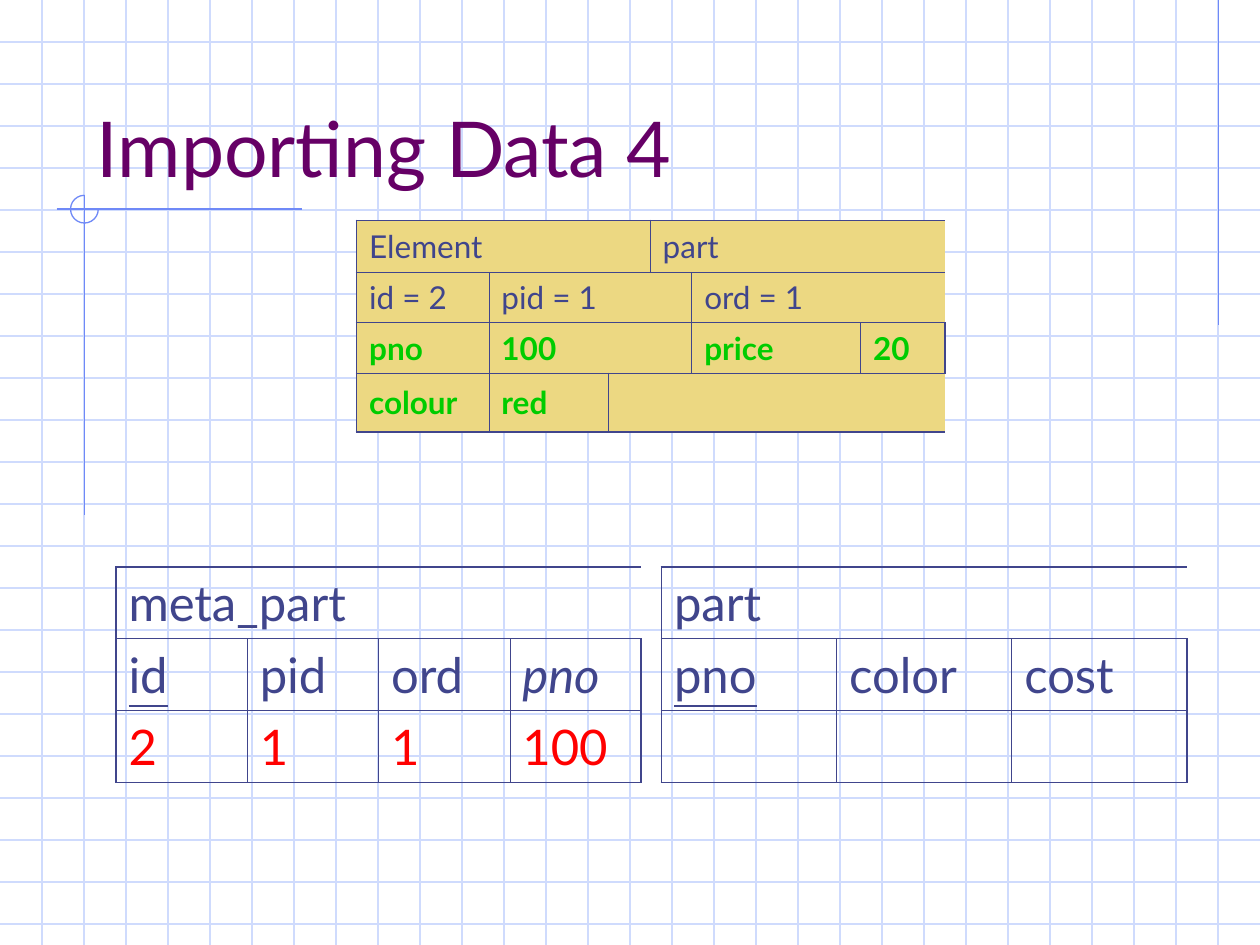
from dataclasses import dataclass

import pptx
import pptx.dml.color
import pptx.enum.shapes
import pptx.enum.text
import pptx.oxml
import pptx.oxml.ns
import pptx.util
from pptx.util import Inches

NO_GRID_STYLE = "{2D5ABB26-0587-4C30-8999-92F81FD0307C}"


@dataclass(frozen=True)
class Theme:
    font: str = "Lato"
    grid: str = "CFDBFD"
    accent: str = "6F89F7"
    title: str = "660066"
    ink: str = "40458C"
    value: str = "FF0000"
    attribute: str = "00CC00"
    element_fill: str = "ECD882"
    title_size: int = 44
    element_size: int = 18
    relation_size: int = 28
    hairline: float = 0.75
    inner_border: float = 0.45
    outer_border: float = 1.08


THEME = Theme()


def rgb(color):
    return pptx.dml.color.RGBColor.from_string(color)


def write_text(frame, text, size, color=THEME.ink, bold=False, italic=False, underline=False):
    paragraph = frame.paragraphs[0]
    font = paragraph.font
    if text:
        run = paragraph.add_run()
        run.text = text
        font = run.font
    font.name, font.size = THEME.font, pptx.util.Pt(size)
    font.bold, font.italic, font.underline = bold, italic, underline
    font.color.rgb = rgb(color)


def draw_line(slide, start, end, color):
    line = slide.shapes.add_connector(
        pptx.enum.shapes.MSO_CONNECTOR.STRAIGHT,
        *(Inches(length) for length in (*start, *end)))
    line.line.color.rgb = rgb(color)
    line.line.width = pptx.util.Pt(THEME.hairline)
    line._element.spPr.append(pptx.oxml.parse_xml(
        f"<a:effectLst {pptx.oxml.ns.nsdecls('a')}/>"))


def draw_graph_paper(slide, left, top, width, height, per_inch=3):
    right, bottom = left + width, top + height
    for step in range(1, int(height * per_inch) + 1):
        y = top + step / per_inch
        draw_line(slide, (left, y), (right, y), THEME.grid)
    for step in range(1, int(width * per_inch)):
        x = left + step / per_inch
        draw_line(slide, (x, top), (x, bottom), THEME.grid)


def draw_corner_mark(slide, left, top, width, height):
    """Draw crossing lines with a three-quarter circle around the crossing."""
    radius = 0.11
    x, y = left + 0.22, top + radius
    draw_line(slide, (left, y), (left + width, y), THEME.accent)
    draw_line(slide, (x, top), (x, top + height), THEME.accent)
    ring = slide.shapes.add_shape(
        pptx.enum.shapes.MSO_SHAPE.ARC, Inches(x - radius), Inches(top),
        Inches(2 * radius), Inches(2 * radius))
    ring.adjustments[0], ring.adjustments[1] = 0, 162  # right, clockwise to top
    ring.shadow.inherit = False
    ring.fill.background()
    ring.line.color.rgb = rgb(THEME.accent)
    ring.line.width = pptx.util.Pt(THEME.hairline)


def add_title(slide, text, left, top, width, height):
    box = slide.shapes.add_textbox(*map(Inches, (left, top, width, height)))
    frame = box.text_frame
    frame.word_wrap = True
    frame.vertical_anchor = pptx.enum.text.MSO_ANCHOR.BOTTOM
    write_text(frame, text, THEME.title_size, THEME.title)


def set_borders(cell, borders):
    """Set borders given as pairs of a side (L, R, T, B) and whether it is outer."""
    properties = cell._tc.get_or_add_tcPr()
    for side, outer in borders:
        points = THEME.outer_border if outer else THEME.inner_border
        properties.append(pptx.oxml.parse_xml(
            f"<a:ln{side} {pptx.oxml.ns.nsdecls('a')} w='{pptx.util.Pt(points)}'>"
            f"<a:solidFill><a:srgbClr val='{THEME.ink}'/></a:solidFill></a:ln{side}>"))


def add_grid_table(slide, left, top, columns, heights, rows, size, fill=None):
    """Each row lists its cells as (text, column span, text format)."""
    table = slide.shapes.add_table(
        len(rows), len(columns), Inches(left), Inches(top),
        Inches(sum(columns)), Inches(sum(heights))).table
    table.first_row = table.horz_banding = False
    table._tbl.tblPr[0].text = NO_GRID_STYLE
    for column, width in zip(table.columns, columns):
        column.width = Inches(width)
    for row, height in zip(table.rows, heights):
        row.height = Inches(height)

    for r, row in enumerate(rows):
        first = 0
        for text, span, text_format in row:
            last = first + span - 1
            for c in range(first, last + 1):
                cell = table.cell(r, c)
                borders = []
                if c == first:
                    borders.append(("L", c == 0))
                if c == last:
                    borders.append(("R", c == len(columns) - 1))
                borders += [("T", r == 0), ("B", r == len(rows) - 1)]
                set_borders(cell, borders)
                if fill:
                    cell.fill.solid()
                    cell.fill.fore_color.rgb = rgb(fill)
                else:
                    cell.fill.background()
            start = table.cell(r, first)
            if span > 1:
                start.merge(table.cell(r, last))
            start.vertical_anchor = pptx.enum.text.MSO_ANCHOR.MIDDLE
            write_text(start.text_frame, text, size, **text_format)
            first = last + 1


def add_element_table(slide, left, top):
    attribute = {"color": THEME.attribute, "bold": True}
    rows = [
        [("Element", 3, {}), ("part", 3, {})],
        [("id = 2", 1, {}), ("pid = 1", 3, {}), ("ord = 1", 2, {})],
        [("pno", 1, attribute), ("100", 3, attribute),
         ("price", 1, attribute), ("20", 1, attribute)],
        [("colour", 1, attribute), ("red", 1, attribute), ("", 4, {})],
    ]
    add_grid_table(slide, left, top, [1.05, 0.95, 0.33, 0.33, 1.34, 0.67],
                   [0.41, 0.4, 0.4, 0.47], rows, THEME.element_size, THEME.element_fill)


def add_relation_table(slide, left, top, width, name, fields, values):
    """Fields are (name, text format) pairs."""
    count = len(fields)
    rows = [
        [(name, count, {})],
        [(field, 1, text_format) for field, text_format in fields],
        [(value, 1, {"color": THEME.value}) for value in values],
    ]
    add_grid_table(slide, left, top, [width / count] * count,
                   [0.57] * len(rows), rows, THEME.relation_size)


def main():
    deck = pptx.Presentation()
    deck.slide_width, deck.slide_height = Inches(10), Inches(7.5)
    slide = deck.slides.add_slide(deck.slide_layouts[6])

    draw_graph_paper(slide, 0, 0, 10, 7.5)
    draw_line(slide, (9.67, 0), (9.67, 2.58), THEME.accent)
    draw_corner_mark(slide, 0.45, 1.55, 1.95, 2.54)
    add_title(slide, "Importing Data 4", 0.67, 0.33, 8.5, 1.25)
    add_element_table(slide, 2.83, 1.75)

    key, foreign_key = {"underline": True}, {"italic": True}
    add_relation_table(slide, 0.92, 4.5, 4.17, "meta_part",
                       [("id", key), ("pid", {}), ("ord", {}), ("pno", foreign_key)],
                       ["2", "1", "1", "100"])
    add_relation_table(slide, 5.25, 4.5, 4.17, "part",
                       [("pno", key), ("color", {}), ("cost", {})], [""] * 3)
    deck.save("out.pptx")


if __name__ == "__main__":
    main()
